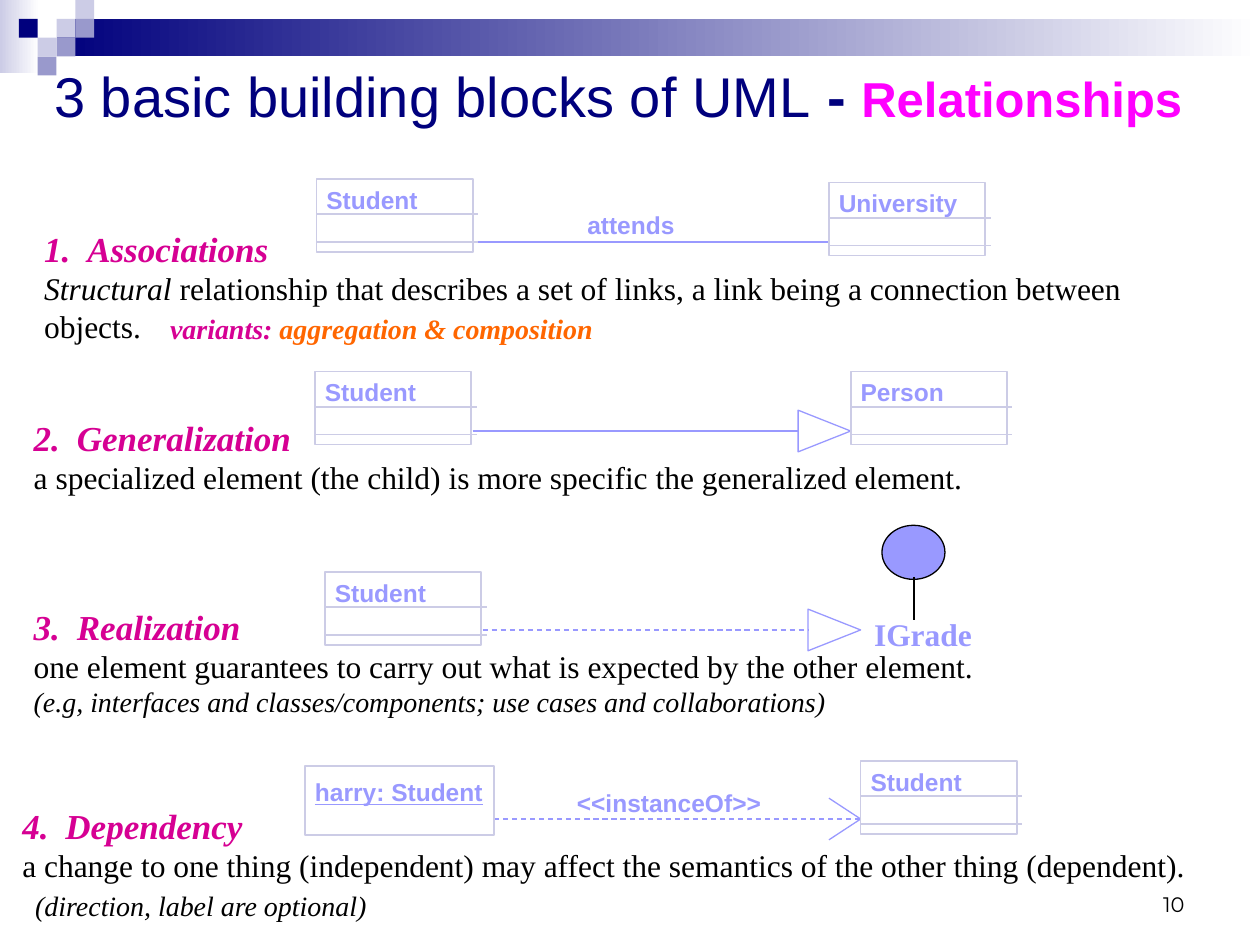
from lxml.etree import SubElement as Sub
from pptx import Presentation as Deck
from pptx.dml.color import RGBColor as Rgb
from pptx.enum.dml import MSO_LINE as Dash
from pptx.enum.shapes import MSO_CONNECTOR as Link, MSO_SHAPE as Form
from pptx.enum.text import MSO_ANCHOR as Anchor, MSO_AUTO_SIZE as Fit, PP_ALIGN as Align
from pptx.oxml.ns import qn
from pptx.util import Cm, Pt

SERIF, SANS = "Times New Roman", "Arial"
THEME = {
    "navy": "00007D", "pale": "CCCCE6", "mid": "9999CC", "white": "FFFFFF",
    "lilac": "9999FF", "black": "000000",
    "type": {
        "title": dict(name=SANS, size=32, color="00007D"),
        "dash": dict(name=SANS, size=32, color="00007D", bold=True),
        "topic": dict(name=SANS, size=28, color="FF00FF", bold=True),
        "head": dict(name=SERIF, size=20, color="D60093", bold=True, italic=True),
        "body": dict(name=SERIF, size=18, color="000000"),
        "stress": dict(name=SERIF, size=18, color="000000", italic=True),
        "note": dict(name=SERIF, size=16, color="000000", italic=True),
        "kind": dict(name=SERIF, size=16, color="D60093", bold=True, italic=True),
        "sort": dict(name=SERIF, size=16, color="FF6600", bold=True, italic=True),
        "face": dict(name=SERIF, size=18, color="9999FF", bold=True),
        "label": dict(name=SANS, size=14, color="9999FF", bold=True),
        "thing": dict(name=SANS, size=14, color="9999FF", bold=True, underline=True),
        "page": dict(name="Montserrat", size=12, color="000000"),
    },
}

TITLE = [("3 basic building blocks of UML", "title"), (" - ", "dash"), ("Relationships", "topic")]
BARS = [((0, 0, 0.79, 1.47), "pale"), ((1.14, 0.38, 24.26, 0.76), "navy")]
UNIT = 0.38
TILES = [(3, 1, "pale"), (4, 0, "pale"), (4, 1, "mid"), (2, 2, "pale"),
         (1, 1, "navy"), (3, 2, "mid"), (2, 3, "mid")]
BLOCKS = [
    ((0.64, 4.45, 23.06, 2.64), [
        [("1.\tAssociations", "head")],
        [("Structural ", "stress"), ("relationship that describes a set of links, a link being "
                                     "a connection between objects.", "body")]]),
    ((3.18, 6.15, 9.09, 0.94), [
        [("variants: ", "kind"), ("aggregation & composition", "sort")]]),
    ((0.43, 8.26, 22.86, 1.88), [
        [("2.\tGeneralization", "head")],
        [("a specialized element (the child) is more specific the generalized element.", "body")]]),
    ((0.43, 12.07, 22.86, 2.54), [
        [("3.\tRealization", "head")],
        [("one element guarantees to carry out what is expected by the other element.", "body")],
        [("(e.g, interfaces and classes/components; use cases and collaborations)", "note")]]),
    ((0.2, 16.08, 24.97, 1.88), [
        [("4.\tDependency", "head")],
        [("a change to one thing (independent) may affect the semantics of the other thing "
          "(dependent).", "body")]]),
    ((0.46, 17.78, 7.21, 0.94), [[("(direction, label are optional)", "note")]]),
    ((17.37, 12.27, 2.49, 1.02), [[("IGrade", "face")]]),
]
TYPES = [("Student", 6.38, 3.61, 1.85), ("University", 16.71, 3.68, 2.39),
         ("Student", 6.35, 7.49, 1.85), ("Person", 17.15, 7.49, 1.68),
         ("Student", 6.55, 11.53, 1.85), ("Student", 17.35, 15.34, 1.85)]
LABELS = [("harry: Student", 6.35, 15.67, 3.38, "thing"),
          ("<<instanceOf>>", 11.63, 15.88, 3.71, "label"),
          ("attends", 11.84, 4.24, 1.75, "label")]
TIES = [(9.1, 16.71, 4.88, None, False), (9.53, 17.15, 8.69, "solid", False),
        (9.73, 17.35, 12.7, "solid", True), (9.96, 17.35, 16.51, "open", True)]
BOX = dict(wide=3.15, high=1.47, rule=3.26, rows=(0.71, 1.27))
HEAD = dict(solid=1.06, open=0.64, half=0.42)

deck = Deck()
deck.slide_width, deck.slide_height = Cm(25.4), Cm(19.05)
slide = deck.slides.add_slide(deck.slide_layouts[5])
shapes = slide.shapes


def tint(name):
    return Rgb.from_string(THEME.get(name, name))


def place(nums):
    return [Cm(n) for n in nums]


def stroke(line, color, width, dash=False):
    line.color.rgb = tint(color)
    line.width = Pt(width)
    if dash:
        line.dash_style = Dash.DASH


def draw(form, spot, fill=None, edge=None, width=1):
    shape = shapes.add_shape(form, *place(spot))
    shape.shadow.inherit = False
    if fill:
        shape.fill.solid()
        shape.fill.fore_color.rgb = tint(fill)
    else:
        shape.fill.background()
    if edge:
        stroke(shape.line, edge, width)
    else:
        shape.line.fill.background()
    return shape


def join(start, end, color="lilac", width=0.75, dash=False):
    line = shapes.add_connector(Link.STRAIGHT, *place(start + end))
    stroke(line.line, color, width, dash)
    Sub(line._element.spPr, qn("a:effectLst"))


def write(par, runs):
    if "\t" in runs[0][0]:
        props = par._p.get_or_add_pPr()
        gap = Cm(0.87)
        props.set("marL", str(gap))
        props.set("indent", str(-gap))
        Sub(Sub(props, qn("a:tabLst")), qn("a:tab"), pos=str(gap), algn="l")
    for text, style in runs:
        run = par.add_run()
        run.text = text
        for key, val in THEME["type"][style].items():
            if key == "color":
                run.font.color.rgb = tint(val)
            else:
                setattr(run.font, key, Pt(val) if key == "size" else val)


def put(spot, pars, wrap=True, inset=(0.25, 0.13), **extra):
    frame = shapes.add_textbox(*place(spot)).text_frame
    side, end = place(inset)
    form = dict(word_wrap=wrap, auto_size=Fit.NONE, margin_left=side, margin_right=side,
                margin_top=end, margin_bottom=end)
    for key, val in {**form, **extra}.items():
        setattr(frame, key, val)
    for num, runs in enumerate(pars):
        write(frame.add_paragraph() if num else frame.paragraphs[0], runs)
    return frame


def label(text, left, top, wide, style="label"):
    put((left, top, wide, 0.58), [[(text, style)]], wrap=False, inset=(0, 0))


for spot, color in BARS:
    fill = draw(Form.RECTANGLE, spot, color).fill
    fill.gradient()
    fill.gradient_angle = 0
    for stop, (pos, hue) in zip(fill.gradient_stops, [(0, color), (1, "white")]):
        stop.position = pos
        stop.color.rgb = tint(hue)
for col, row, color in TILES:
    draw(Form.RECTANGLE, (col * UNIT, row * UNIT, UNIT, UNIT), color)

title = shapes.title
title.left, title.top, title.width, title.height = place((0.84, 1.07, 24.13, 1.7))
for key, val in dict(auto_size=Fit.NONE, vertical_anchor=Anchor.MIDDLE, word_wrap=True).items():
    setattr(title.text_frame, key, val)
title.text_frame.paragraphs[0].alignment = Align.LEFT
write(title.text_frame.paragraphs[0], TITLE)

page = put((18.21, 17.35, 5.92, 1.27), [[("10", "page")]], vertical_anchor=Anchor.BOTTOM)
page.paragraphs[0].alignment = Align.RIGHT
for spot, pars in BLOCKS:
    put(spot, pars)

for left, right, mid, head, dash in TIES:
    back = right - HEAD.get(head, 0)
    top, low = mid - HEAD["half"], mid + HEAD["half"]
    join((left, mid), (back if head == "solid" else right, mid), dash=dash)
    if head == "solid":
        pen = shapes.build_freeform(Cm(right), Cm(mid))
        pen.add_line_segments([place((back, top)), place((back, low))], close=True)
        tip = pen.convert_to_shape()
        tip.shadow.inherit = False
        tip.fill.background()
        stroke(tip.line, "lilac", 0.75)
    elif head == "open":
        for end in (top, low):
            join((back, end), (right, mid))

for name, left, top, wide in TYPES:
    draw(Form.RECTANGLE, (left, top, BOX["wide"], BOX["high"]), edge="pale")
    label(name, left + 0.2, top + 0.12, wide)
    for row in BOX["rows"]:
        join((left, top + row), (left + BOX["rule"], top + row), "pale", 1)

draw(Form.RECTANGLE, (6.15, 15.44, 3.81, 1.4), edge="pale")
for item in LABELS:
    label(*item)
draw(Form.OVAL, (17.78, 10.59, 1.27, 1.09), "lilac", "black", 0.75)
join((18.42, 11.63), (18.42, 12.5), "black", 1.25)

deck.save("out.pptx")
